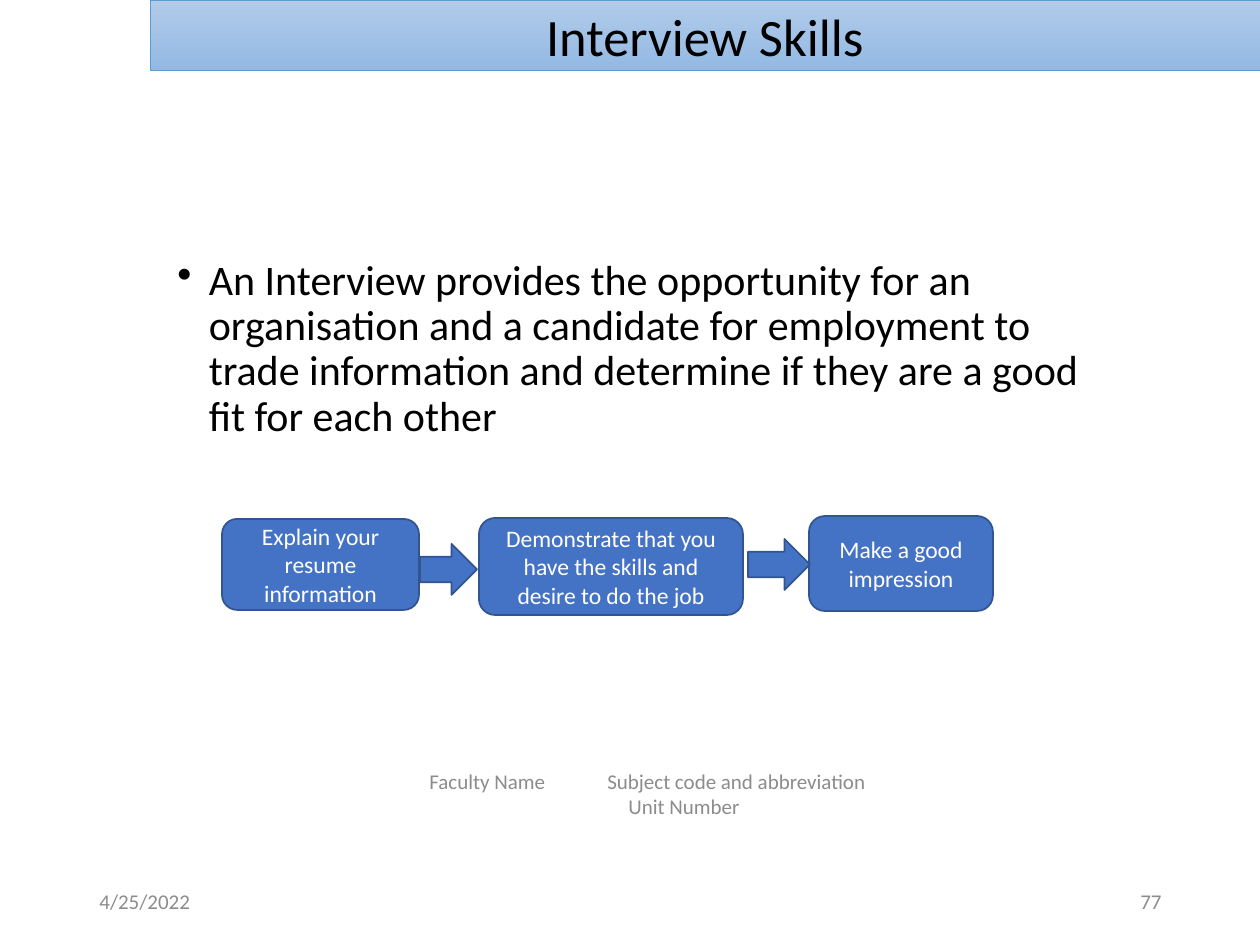
from lxml.etree import SubElement
from pptx import Presentation
from pptx.dml.color import RGBColor
from pptx.enum.shapes import MSO_SHAPE as Shape
from pptx.enum.text import MSO_ANCHOR as Anchor, MSO_AUTO_SIZE as Auto, PP_ALIGN as Align
from pptx.oxml.ns import qn
from pptx.util import Pt

PX = 914400 / 126
FONT = "Calibri"
HUES = {
    "text": "000000", "muted": "8C8C8C", "white": "FFFFFF",
    "step": "4472C4", "edge": "325491",
    "top": "B1CBE9", "base": "93B9E4", "rule": "5B9BD5",
}

TITLE = "Interview Skills"
BODY = ("An Interview provides the opportunity for an organisation and a candidate "
        "for employment to trade information and determine if they are a good fit "
        "for each other")
STEPS = [
    ("Explain your resume information", (222, 519, 197, 91)),
    ("Demonstrate that you have the skills and desire to do the job", (479, 518, 264, 97)),
    ("Make a good impression", (809, 516, 184, 95)),
]
ARROWS = [(420, 544, 57, 51), (748, 539, 62, 51)]
NOTES = [
    ("4/25/2022", (87, 876, 284, 50), Align.LEFT),
    ("77", (890, 876, 284, 50), Align.RIGHT),
]
FOOTER = ["Faculty Name\tSubject code and abbreviation", "Unit Number"]
FOOTER_BOX = (417, 775, 519, 38)
SUBJECT_TAB, UNIT_INDENT = 178, 199


def px(n):
    return round(n * PX)


def hue(name):
    return RGBColor.from_string(HUES[name])


def style(par, size, color, align=Align.LEFT):
    par.alignment = align
    font = par.font
    font.name, font.size = FONT, Pt(size)
    font.color.rgb = hue(color)


def add_text(slide, box, text, size, color, align=Align.LEFT, anchor=Anchor.MIDDLE):
    frame = slide.shapes.add_textbox(*map(px, box)).text_frame
    frame.word_wrap = True
    frame.vertical_anchor = anchor
    frame.text = text
    for par in frame.paragraphs:
        style(par, size, color, align)
    return frame


def add_block(slide, kind, box):
    """Add a flow part in the step colours."""
    shape = slide.shapes.add_shape(kind, *map(px, box))
    shape.shadow.inherit = False
    shape.fill.solid()
    shape.fill.fore_color.rgb = hue("step")
    shape.line.color.rgb = hue("edge")
    shape.line.width = Pt(1)
    return shape


def add_title(slide):
    title = slide.shapes.title
    title.left, title.top, title.width, title.height = map(px, (150, 0, 1110, 71))
    title.fill.gradient()
    title.fill.gradient_angle = 270
    for stop, name in zip(title.fill.gradient_stops, ("top", "base")):
        stop.color.rgb = hue(name)
    title.line.color.rgb = hue("rule")
    title.line.width = Pt(0.5)
    frame = title.text_frame
    frame.text = TITLE
    frame.auto_size = Auto.NONE
    frame.vertical_anchor = Anchor.MIDDLE
    frame.margin_left = frame.margin_right = px(9)
    frame.margin_top = frame.margin_bottom = px(5)
    style(frame.paragraphs[0], 30, "text", Align.CENTER)


def add_body(slide):
    frame = add_text(slide, (165, 189, 931, 467), BODY, 24, "text", anchor=Anchor.TOP)
    frame.margin_top = px(70)
    par = frame.paragraphs[0]
    par.line_spacing = 0.9
    props = par._p.get_or_add_pPr()
    props.set("marL", str(px(31.5)))
    props.set("indent", str(-px(31.5)))
    bullet = props.makeelement(qn("a:buChar"), {"char": "•"})
    props.find(qn("a:defRPr")).addprevious(bullet)


def add_footer(slide):
    frame = add_text(slide, FOOTER_BOX, "\n".join(FOOTER), 12, "muted")
    first, last = (par._p.get_or_add_pPr() for par in frame.paragraphs)
    tabs = first.makeelement(qn("a:tabLst"), {})
    SubElement(tabs, qn("a:tab"), pos=str(px(SUBJECT_TAB)), algn="l")
    first.find(qn("a:defRPr")).addprevious(tabs)
    last.set("marL", str(px(UNIT_INDENT)))
    last.set("indent", "0")


def main():
    deck = Presentation()
    deck.slide_width, deck.slide_height = px(1260), px(945)
    slide = deck.slides.add_slide(deck.slide_layouts[5])
    add_title(slide)
    add_body(slide)
    for text, box, align in NOTES:
        add_text(slide, box, text, 12, "muted", align)
    add_footer(slide)
    for text, box in STEPS:
        frame = add_block(slide, Shape.ROUNDED_RECTANGLE, box).text_frame
        frame.word_wrap = True
        frame.vertical_anchor = Anchor.MIDDLE
        frame.text = text
        style(frame.paragraphs[0], 13.5, "white", Align.CENTER)
    for box in ARROWS:
        add_block(slide, Shape.RIGHT_ARROW, box)
    deck.save("out.pptx")


if __name__ == "__main__":
    main()
